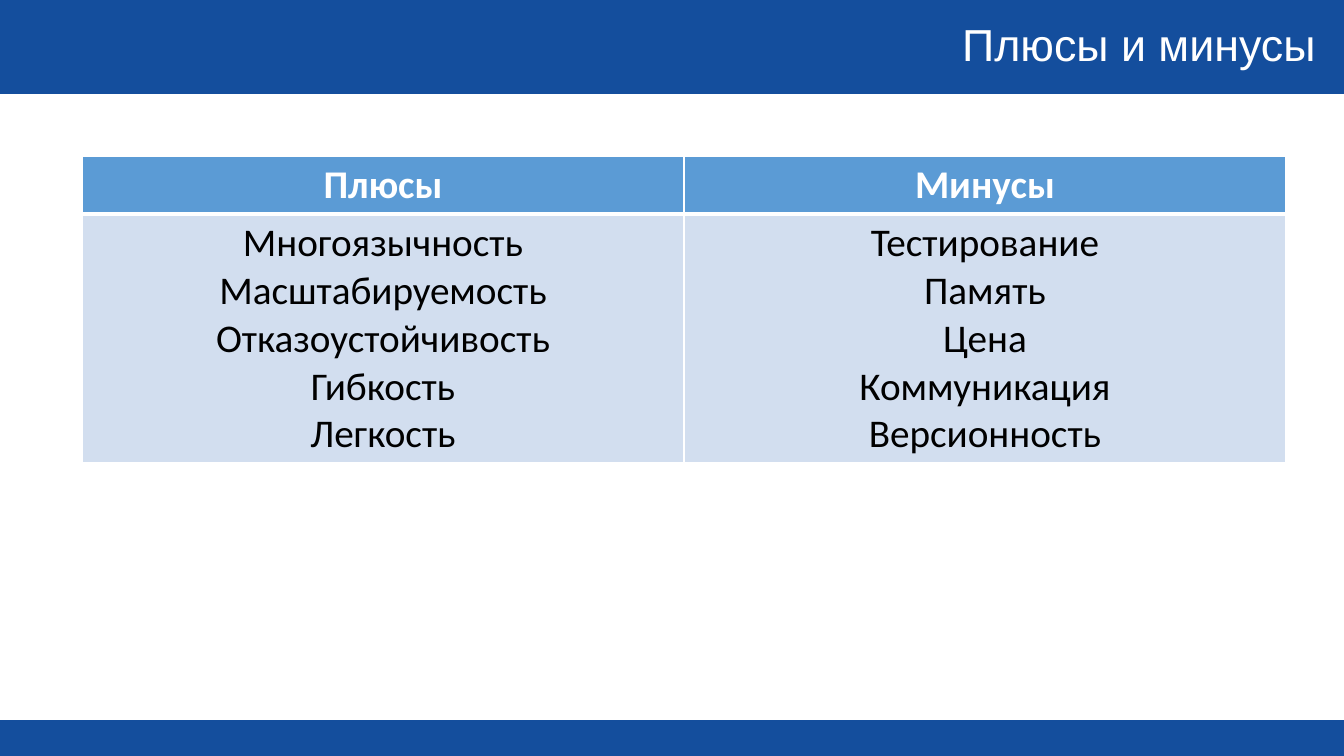
from lxml.etree import SubElement
from pptx import Presentation
from pptx.dml.color import RGBColor
from pptx.enum.shapes import MSO_SHAPE
from pptx.enum.text import MSO_ANCHOR, PP_ALIGN
from pptx.oxml.ns import qn
from pptx.util import Emu, Pt

WIDTH, HEIGHT = 1344, 756
BLUE, HEADER, BODY = "144E9D", "5B9BD5", "D2DEEF"
WHITE, BLACK = "FFFFFF", "000000"

PROS = ["Многоязычность", "Масштабируемость", "Отказоустойчивость", "Гибкость", "Легкость"]
CONS = ["Тестирование", "Память", "Цена", "Коммуникация", "Версионность"]


def px(n):
    return Emu(round(n * 914400 / 100.8))


def rgb(color):
    return RGBColor.from_string(color)


class SlideBuilder:
    title_font, table_font = "Arial", "Calibri"
    title_size, table_size = 32, 28

    def __init__(self, slide):
        self.slide = slide

    def band(self, top, height):
        sp = self.slide.shapes.add_shape(
            MSO_SHAPE.RECTANGLE, 0, px(top), px(WIDTH), px(height))
        sp.shadow.inherit = False
        sp.fill.solid()
        sp.fill.fore_color.rgb = rgb(BLUE)
        sp.line.fill.background()

    def add_lines(self, tf, lines, align, font, size, color, bold=False, spacing=None):
        for i, line in enumerate(lines):
            p = tf.paragraphs[0] if i == 0 else tf.add_paragraph()
            p.alignment = align
            p.line_spacing = spacing
            r = p.add_run()
            r.text = line
            r.font.name, r.font.size, r.font.bold = font, Pt(size), bold
            r.font.color.rgb = rgb(color)

    def title(self, text, left, top, width, height):
        sp = self.slide.shapes.add_textbox(px(left), px(top), px(width), px(height))
        tf = sp.text_frame
        tf.word_wrap = True
        tf.vertical_anchor = MSO_ANCHOR.MIDDLE
        self.add_lines(tf, [text], PP_ALIGN.RIGHT, self.title_font, self.title_size,
                       WHITE, spacing=0.9)

    def borders(self, cell, widths):
        """Draw white borders; widths are points in left, right, top, bottom order."""
        tcPr = cell._tc.get_or_add_tcPr()
        for i, (side, width) in enumerate(zip("LRTB", widths)):
            ln = tcPr.makeelement(qn(f"a:ln{side}"), {"w": str(Pt(width))})
            fill = SubElement(ln, qn("a:solidFill"))
            SubElement(fill, qn("a:srgbClr"), val=WHITE)
            tcPr.insert(i, ln)

    def table(self, columns, left, top, col_width, row_heights):
        """Add a table from (heading, items) pairs, one per column."""
        table = self.slide.shapes.add_table(
            2, len(columns), px(left), px(top),
            px(col_width * len(columns)), px(sum(row_heights))).table
        for row, height in zip(table.rows, row_heights):
            row.height = px(height)
        for c, (heading, items) in enumerate(columns):
            table.columns[c].width = px(col_width)
            rows = [([heading], HEADER, WHITE, True, (1, 1, 1, 3)),
                    (items, BODY, BLACK, False, (1, 1, 3, 1))]
            for n, (lines, fill, color, bold, widths) in enumerate(rows):
                cell = table.cell(n, c)
                cell.fill.solid()
                cell.fill.fore_color.rgb = rgb(fill)
                self.borders(cell, widths)
                self.add_lines(cell.text_frame, lines, PP_ALIGN.CENTER,
                               self.table_font, self.table_size, color, bold)


def main():
    prs = Presentation()
    prs.slide_width, prs.slide_height = px(WIDTH), px(HEIGHT)
    s = SlideBuilder(prs.slides.add_slide(prs.slide_layouts[6]))
    s.band(0, 94)
    s.band(720, 36)
    s.title("Плюсы и минусы", 604, 5, 722, 84)
    s.table([("Плюсы", PROS), ("Минусы", CONS)], 82, 156, 602, [58, 249])
    prs.save("out.pptx")


if __name__ == "__main__":
    main()
